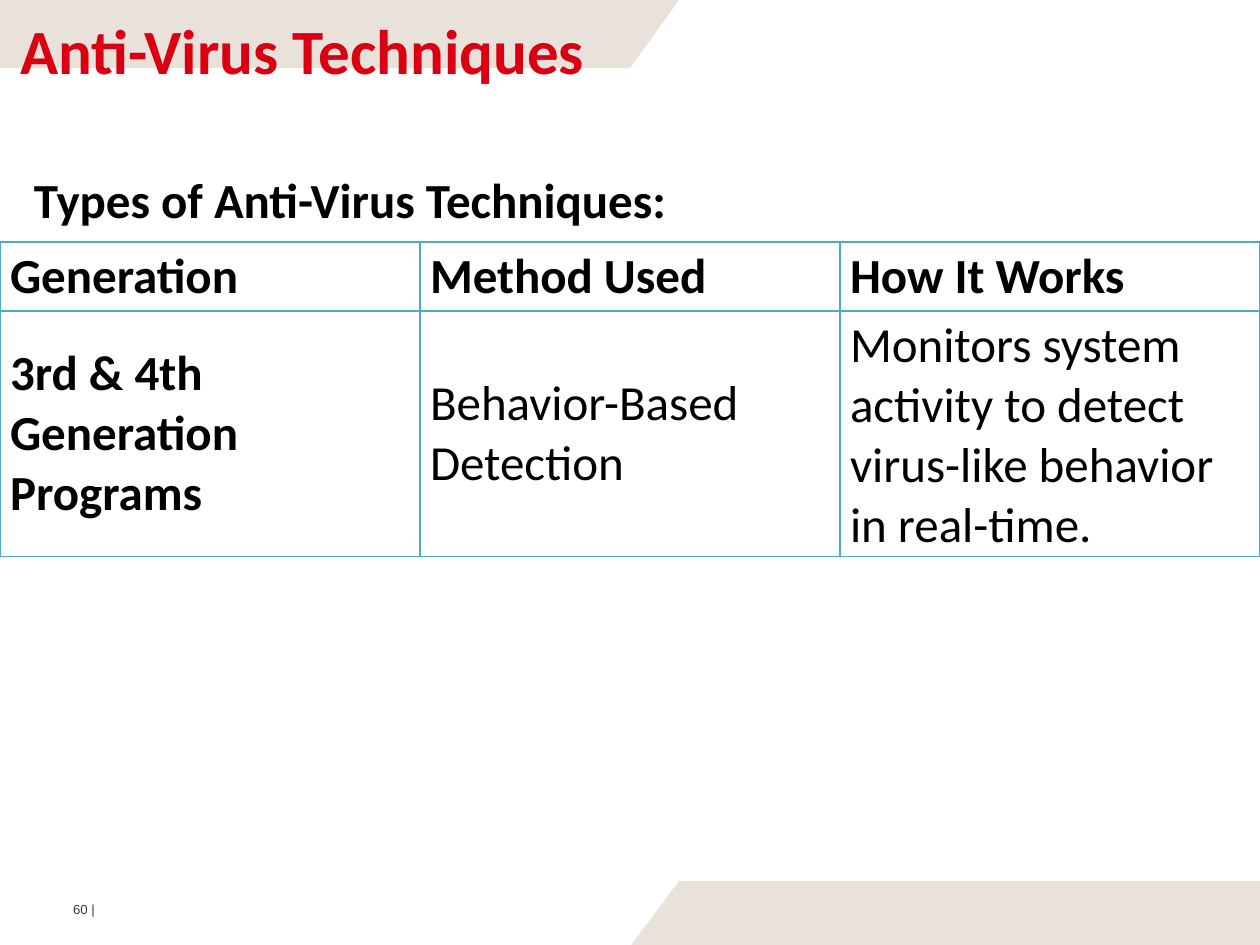
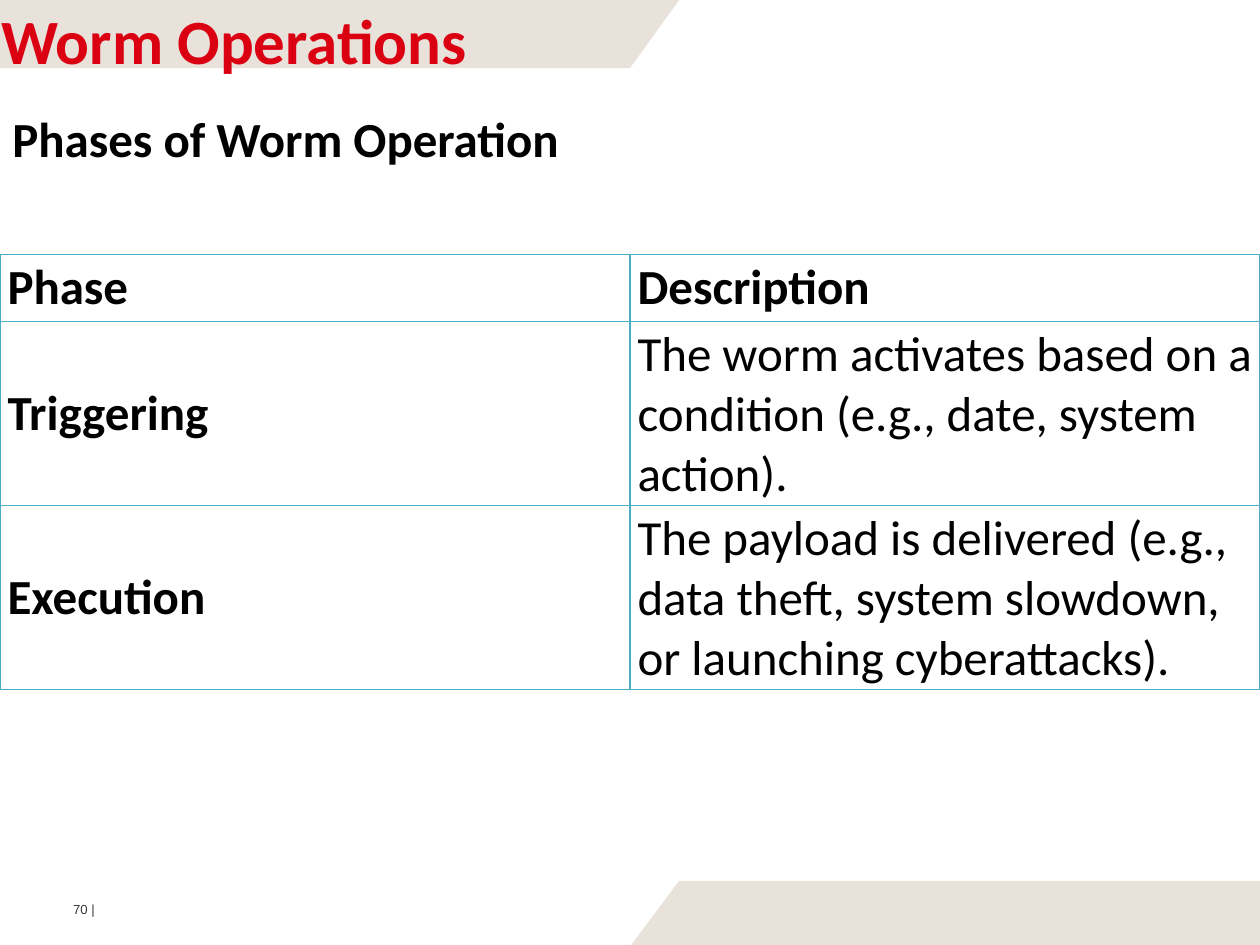
from dataclasses import dataclass

from pptx import Presentation
from pptx.dml.color import RGBColor as RGB
from pptx.enum.text import MSO_ANCHOR as Anchor
from pptx.oxml import parse_xml
from pptx.oxml.ns import nsdecls
from pptx.util import Inches, Pt


@dataclass(frozen=True)
class Theme:
    band: RGB = RGB(0xE8, 0xE2, 0xDB)
    title: RGB = RGB(0xDA, 0x00, 0x12)
    text: RGB = RGB(0, 0, 0)
    footer: RGB = RGB(0x3C, 0x39, 0x35)
    border: str = "4BACC6"
    border_pt: float = 1
    font: str = "Calibri"
    footer_font: str = "Arial"
    title_size: float = 36
    body_size: float = 28
    footer_size: float = 7.5


THEME = Theme()
WIDTH, HEIGHT = 10, 7.5
TOP_BAND = [(5.39, 0), (0, 0), (0, 0.54), (5, 0.54)]
BOTTOM_BAND = [(WIDTH, 6.99), (5.39, 6.99), (5.01, HEIGHT), (WIDTH, HEIGHT)]


def style(p, size, color, bold=False, font=THEME.font):
    p.font.size = Pt(size)
    p.font.color.rgb = color
    p.font.bold = bold
    p.font.name = font


def add_band(s, points):
    corners = [(Inches(x), Inches(y)) for x, y in points]
    builder = s.shapes.build_freeform(*corners[0])
    builder.add_line_segments(corners[1:], close=True)
    sp = builder.convert_to_shape()
    sp.shadow.inherit = False
    sp.fill.solid()
    sp.fill.fore_color.rgb = THEME.band
    sp.line.fill.background()


def add_text(s, text, box, insets, anchor=Anchor.TOP):
    """Add a one-line text box and return its paragraph for styling."""
    tf = s.shapes.add_textbox(*map(Inches, box)).text_frame
    tf.word_wrap = False
    tf.vertical_anchor = anchor
    tf.margin_left, tf.margin_top, tf.margin_right, tf.margin_bottom = map(Inches, insets)
    p = tf.paragraphs[0]
    p.text = text
    return p


def add_title(s, text, box, left, top):
    p = add_text(s, text, box, (left, top, 0, 0))
    style(p, THEME.title_size, THEME.title, bold=True)


def add_subheading(s, text, box):
    p = add_text(s, text, box, (0.1, 0.05, 0.1, 0.05), Anchor.MIDDLE)
    style(p, THEME.body_size, THEME.text, bold=True)


def add_page_number(s, number):
    p = add_text(s, f"{number} |", (0.54, 7.15, 0.26, 0.15), (0.04, 0, 0, 0))
    style(p, THEME.footer_size, THEME.footer, font=THEME.footer_font)


def add_borders(cell):
    tc_pr = cell._tc.get_or_add_tcPr()
    for side in "LRTB":
        tc_pr.append(parse_xml(
            f'<a:ln{side} {nsdecls("a")} w="{Pt(THEME.border_pt)}"><a:solidFill>'
            f'<a:srgbClr val="{THEME.border}"/></a:solidFill></a:ln{side}>'))


def add_grid(s, top, heights, rows, pad_x, pad_y):
    """Add a full-width table with a bold header row and first column."""
    frame = s.shapes.add_table(len(rows), len(rows[0]), 0, Inches(top),
                               Inches(WIDTH), Inches(sum(heights)))
    table = frame.table
    table.first_row = table.horz_banding = False
    for i, (height, texts) in enumerate(zip(heights, rows)):
        table.rows[i].height = Inches(height)
        for j, text in enumerate(texts):
            cell = table.cell(i, j)
            cell.text = text
            cell.vertical_anchor = Anchor.MIDDLE
            cell.margin_left = cell.margin_right = Inches(pad_x)
            cell.margin_top = cell.margin_bottom = Inches(pad_y)
            style(cell.text_frame.paragraphs[0], THEME.body_size, THEME.text,
                  bold=i == 0 or j == 0)
            add_borders(cell)
            cell.fill.background()


def add_slide(prs, number):
    s = prs.slides.add_slide(prs.slide_layouts[6])
    add_band(s, TOP_BAND)
    add_band(s, BOTTOM_BAND)
    add_page_number(s, number)
    return s


def add_antivirus_slide(prs):
    s = add_slide(prs, 60)
    add_title(s, "Anti-Virus Techniques", (0, -0.03, 7.09, 0.79), 0.16, 0.12)
    add_grid(s, 1.92, [0.55, 1.94], [
        ("Generation", "Method Used", "How It Works"),
        ("3rd & 4th Generation Programs", "Behavior-Based Detection",
         "Monitors system activity to detect virus-like behavior in real-time."),
    ], 0.08, 0.04)
    add_subheading(s, "Types of Anti-Virus Techniques:", (0.17, 1.29, 5.35, 0.57))


def add_worm_slide(prs):
    s = add_slide(prs, 70)
    add_title(s, "Worm Operations", (0, 0, 3.73, 0.63), 0.01, 0.01)
    add_grid(s, 2.02, [0.53, 1.46, 1.46], [
        ("Phase", "Description"),
        ("Triggering",
         "The worm activates based on a condition (e.g., date, system action)."),
        ("Execution", "The payload is delivered (e.g., data theft, system slowdown, "
                      "or launching cyberattacks)."),
    ], 0.06, 0.03)
    add_subheading(s, "Phases of Worm Operation", (0, 0.81, 4.62, 0.57))


def main():
    prs = Presentation()
    prs.slide_width, prs.slide_height = Inches(WIDTH), Inches(HEIGHT)
    add_antivirus_slide(prs)
    add_worm_slide(prs)
    prs.save("out.pptx")


if __name__ == "__main__":
    main()
